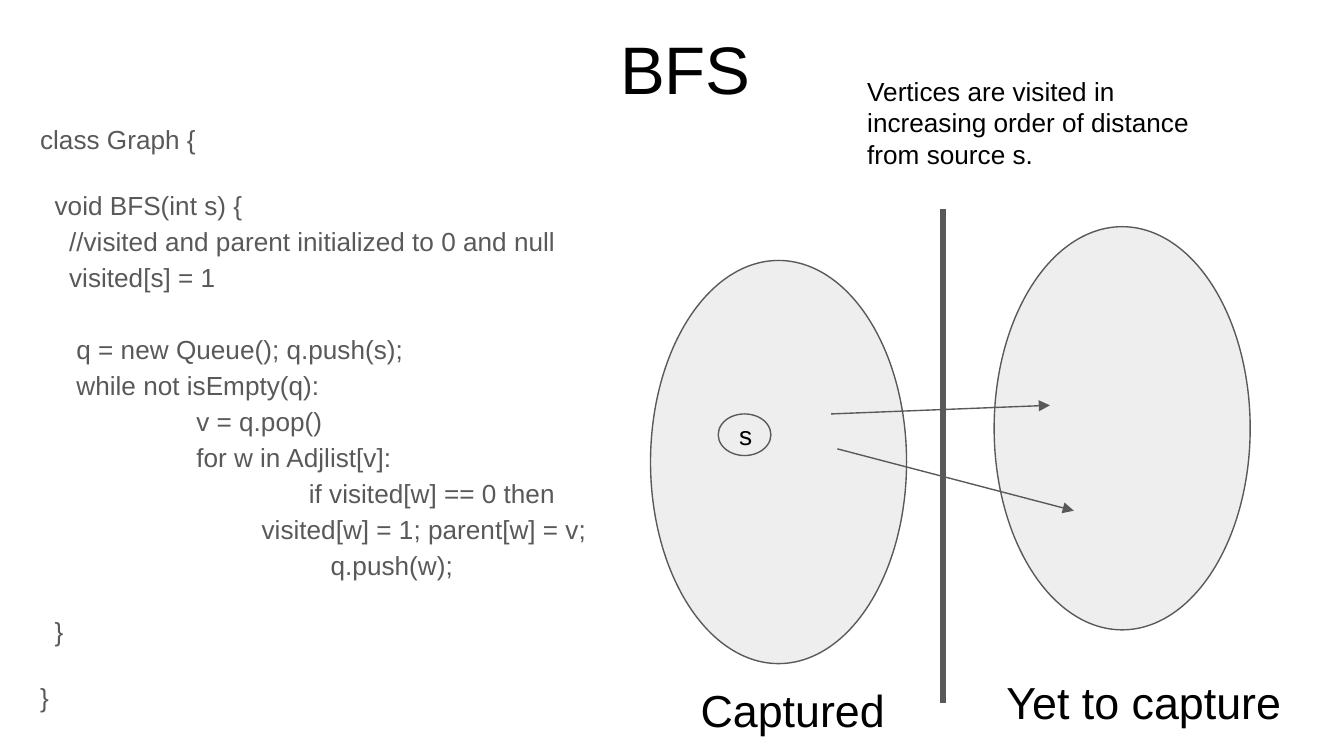
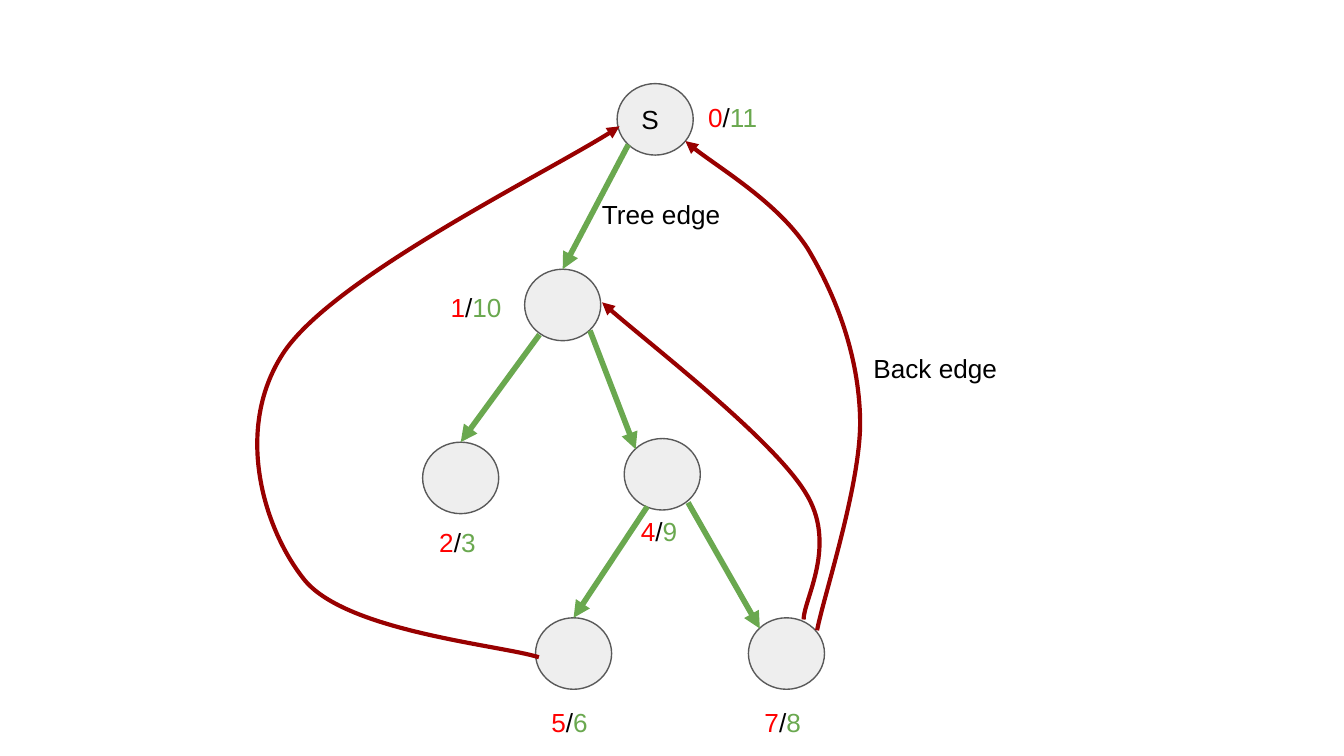
import dataclasses
import lxml.etree
import pptx
import pptx.dml.color
import pptx.enum.shapes
import pptx.enum.text
import pptx.oxml.ns
import pptx.util


@dataclasses.dataclass(frozen=True)
class Theme:
    font: str = "Arial"
    ink: str = "000000"
    gray: str = "595959"
    node: str = "EEEEEE"
    start: str = "FF0000"
    tree: str = "6AA84F"
    back: str = "980000"
    title: int = 36
    caption: int = 24
    body: int = 14
    thin: float = 0.75
    medium: float = 2.25
    thick: float = 3


theme = Theme()
rgb = pptx.dml.color.RGBColor.from_string
qn = pptx.oxml.ns.qn
shapes = pptx.enum.shapes.MSO_SHAPE
anchors = pptx.enum.text.MSO_ANCHOR

deck = pptx.Presentation()
deck.slide_width = pptx.util.Inches(10)
deck.slide_height = pptx.util.Inches(5.625)
blank = deck.slide_layouts[6]
# Square grid: 100 columns across the slide, rows of the same size
unit = deck.slide_width // 100


def write(page, at, text, *, shape=None, size=theme.body, color=theme.ink,
          center=False, middle=False, line=1, gap=0, tabs=()):
    """Add a text box or filled shape; text is a string or a list of paragraphs,
    each a string or a list of (text, color) spans."""
    place = [round(value * unit) for value in at]
    if shape is None:
        box = page.shapes.add_textbox(*place)
    else:
        box = page.shapes.add_shape(shape, *place)
        box.shadow.inherit = False
        box.fill.solid()
        box.fill.fore_color.rgb = rgb(theme.node)
        box.line.color.rgb = rgb(theme.gray)
        box.line.width = pptx.util.Pt(theme.thin)
    frame = box.text_frame
    frame.word_wrap = True
    frame.margin_left = frame.margin_right = unit
    frame.margin_top = frame.margin_bottom = unit
    frame.vertical_anchor = anchors.MIDDLE if middle else anchors.TOP
    for index, content in enumerate([text] if isinstance(text, str) else text):
        para = frame.add_paragraph() if index else frame.paragraphs[0]
        if tabs:
            stops = lxml.etree.SubElement(para._p.get_or_add_pPr(), qn("a:tabLst"))
            for stop in tabs:
                lxml.etree.SubElement(stops, qn("a:tab"), pos=str(stop * unit), algn="l")
        align = pptx.enum.text.PP_ALIGN
        para.alignment = align.CENTER if center else align.LEFT
        para.line_spacing = line
        if index:
            para.space_before = pptx.util.Pt(gap)
        for words, ink in [(content, color)] if isinstance(content, str) else content:
            for row, piece in enumerate(words.split("\n")):
                if row:
                    para.add_line_break()
                    lxml.etree.SubElement(para._p[-1], qn("a:rPr"), sz=str(size * 100))
                if piece:
                    span = para.add_run()
                    span.text = piece
                    span.font.name = theme.font
                    span.font.size = pptx.util.Pt(size)
                    span.font.color.rgb = rgb(ink)
    return box


def draw(page, points, color, width, arrow=True, frame=None):
    """Add a straight connector, or, within a frame, a chain of cubic curves."""
    places = [(round(x * unit), round(y * unit)) for x, y in points]
    if frame is None:
        stroke = page.shapes.add_connector(
            pptx.enum.shapes.MSO_CONNECTOR.STRAIGHT, *places[0], *places[1])
    else:
        builder = page.shapes.build_freeform(*places[0], scale=1.0)
        builder.add_line_segments(places[1:], close=False)
        stroke = builder.convert_to_shape()
        stroke.fill.background()
        left, top, wide, high = [round(value * unit) for value in frame]
        stroke.left, stroke.top, stroke.width, stroke.height = left, top, wide, high
        # Turn every three line segments into one cubic curve
        track = stroke._element.spPr.find(".//" + qn("a:path"))
        track.set("w", str(wide))
        track.set("h", str(high))
        for child in list(track):
            track.remove(child)
        for index, (x, y) in enumerate(places):
            if index == 0:
                segment = lxml.etree.SubElement(track, qn("a:moveTo"))
            elif index % 3 == 1:
                segment = lxml.etree.SubElement(track, qn("a:cubicBezTo"))
            lxml.etree.SubElement(segment, qn("a:pt"), x=str(x - left), y=str(y - top))
    stroke.line.color.rgb = rgb(color)
    stroke.line.width = pptx.util.Pt(width)
    outline = stroke._element.spPr
    if arrow:
        lxml.etree.SubElement(outline.find(qn("a:ln")), qn("a:tailEnd"), type="triangle")
    lxml.etree.SubElement(outline, qn("a:effectLst"))
    return stroke


# Slide 1: breadth-first search
page = deck.slides.add_slide(blank)
write(page, (4.4, 0.4, 93.2, 9.2), "BFS", size=theme.title, center=True, middle=True)

code = [
    "class Graph {",
    """  void BFS(int s) {
    //visited and parent initialized to 0 and null
    visited[s] = 1

     q = new Queue(); q.push(s);
     while not isEmpty(q): 
\t   v = q.pop()
\t   for w in Adjlist[v]:
\t\tif visited[w] == 0 then 
\t            visited[w] = 1; parent[w] = v;
\t\t   q.push(w);""",
    "  }",
    "}",
]
write(page, (2, 7.84, 93.2, 37.4), code, color=theme.gray, line=1.15, gap=16, tabs=(10, 20))

# Captured and remaining vertices, parted by a bar
for left, top in [(48.4, 19.38), (73.97, 16.87)]:
    write(page, (left, top, 19.05, 30), "", shape=shapes.FLOWCHART_CONNECTOR)
draw(page, [(70.16, 15.55), (70.16, 52.3)], theme.gray, theme.thick, arrow=False)
write(page, (51.14, 49.8, 16.3, 5), "Captured", size=theme.caption)
write(page, (73.9, 49.2, 25.3, 3.1), "Yet to capture", size=theme.caption)

for points in [[(61.84, 30.8), (78.12, 30.16)], [(62.3, 33.4), (79.9, 38)]]:
    draw(page, points, theme.gray, theme.thin)
write(page, (53.44, 30.8, 3.92, 3.1), "s", shape=shapes.OVAL, middle=True)
write(page, (63.54, 4.6, 29.2, 7.7),
      "Vertices are visited in increasing order of distance from source s.")

# Slide 2: search tree with start and finish times
page = deck.slides.add_slide(blank)
node_width, node_height = 5.66, 5.32
# left, top, name, start, finish, label left, label top
nodes = [
    (45.92, 6.22, "S", 0, 11, 51.7, 6.54),
    (39.04, 20.03, "", 1, 10, 32.54, 20.7),
    (31.45, 32.9, "", 2, 3, 31.7, 38.2),
    (46.45, 32.63, "", 4, 9, 46.7, 37.37),
    (39.85, 45.97, "", 5, 6, 40.04, 51.54),
    (55.69, 45.97, "", 7, 8, 55.9, 51.54),
]
circles = []
for left, top, name, start, finish, label_left, label_top in nodes:
    circles.append(write(page, (left, top, node_width, node_height), name,
                         shape=shapes.OVAL, middle=True))
    times = [(str(start), theme.start), ("/", theme.ink), (str(finish), theme.tree)]
    write(page, (label_left, label_top, 9, 4.2), [times])

# Tree edges: start point and child; left ones reach the top, right ones the upper left
tree_edges = [
    ((46.75, 10.76), 1, True),
    ((40.14, 24.9), 2, True),
    ((43.9, 24.6), 3, False),
    ((48.16, 37.7), 4, True),
    ((51.2, 37.4), 5, False),
]
diagonal = 0.15
for begin, child, leftward in tree_edges:
    x, y = nodes[child][:2]
    end = ((x + node_width / 2, y) if leftward
           else (x + node_width * diagonal, y + node_height * diagonal))
    edge = draw(page, [begin, end], theme.tree, theme.thick)
    if leftward:
        edge.end_connect(circles[child], 0)

# Back edges: frame, then a start point and two control points and an end per curve
back_edges = [
    ((44.8, 22.5, 16.3, 23.7),
     [(59.8, 46.1), (59.8, 44.6), (62.4, 40.5), (59.9, 36.6),
      (57.4, 32.6), (47.3, 24.8), (44.8, 22.5)]),
    ((51, 10.5, 13, 36.4),
     [(60.8, 46.9), (61.3, 44.3), (64.1, 35.9), (64, 31.2),
      (63.9, 26.4), (62.2, 22), (60.1, 18.5),
      (57.9, 15.1), (52.5, 11.9), (51, 10.5)]),
    ((19.2, 9.4, 27, 39.5),
     [(40.1, 48.9), (37.2, 48), (25.9, 47), (22.7, 43.2),
      (19.6, 39.4), (17.3, 31.8), (21.2, 26.1),
      (25.1, 20.5), (42, 12.2), (46.1, 9.4)]),
]
for frame, points in back_edges:
    draw(page, points, theme.back, theme.medium, frame=frame)

# Edge names
write(page, (43.8, 13.8, 11.9, 3), "Tree edge")
write(page, (64, 25.2, 15.1, 4.2), "Back edge")

deck.save("out.pptx")
